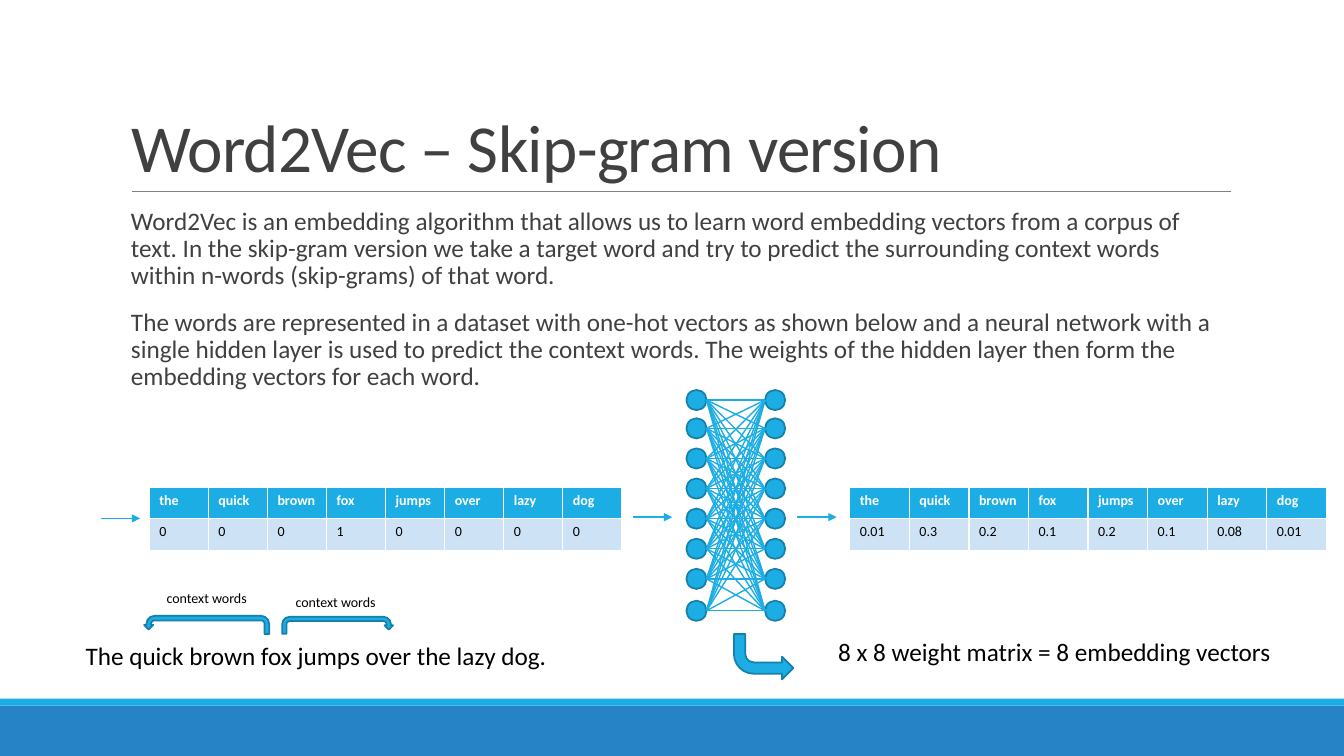
"""Build the slide on the skip-gram version of Word2Vec."""
from itertools import product

from lxml import etree
from pptx import Presentation
from pptx.dml.color import RGBColor
from pptx.enum import shapes, text
from pptx.oxml import ns
from pptx.util import Pt

TITLE = "Word2Vec – Skip-gram version"
BODY = [
    "Word2Vec is an embedding algorithm that allows us to learn word embedding "
    "vectors from a corpus of text. In the skip-gram version we take a target word "
    "and try to predict the surrounding context words within n-words (skip-grams) "
    "of that word.",
    "The words are represented in a dataset with one-hot vectors as shown below and "
    "a neural network with a single hidden layer is used to predict the context "
    "words. The weights of the hidden layer then form the embedding vectors for "
    "each word.",
]
WORDS = ["the", "quick", "brown", "fox", "jumps", "over", "lazy", "dog"]
ONE_HOT = ["0", "0", "0", "1", "0", "0", "0", "0"]
PREDICTED = ["0.01", "0.3", "0.2", "0.1", "0.2", "0.1", "0.08", "0.01"]

BLUE = RGBColor(0x1C, 0xAD, 0xE4)
BLUE_EDGE = RGBColor(0x15, 0x80, 0xA9)
BLUE_DEEP = RGBColor(0x26, 0x83, 0xC6)
BLUE_PALE = RGBColor(0xCD, 0xE3, 0xF5)
GREY = RGBColor(0x80, 0x80, 0x80)
GREY_DARK = RGBColor(0x40, 0x40, 0x40)
WHITE = RGBColor(0xFF, 0xFF, 0xFF)
BLACK = RGBColor(0x00, 0x00, 0x00)

CAPTIONS = [
    ("The quick brown fox jumps over the lazy dog.", (42.5, 453.8, 366.5, 29), 18),
    ("context words", (106.6, 417.8, 82.1, 19.4), 10),
    ("context words", (198.7, 420.5, 82.1, 19.4), 10),
    ("8 x 8 weight matrix = 8 embedding vectors", (584, 450.9, 338.4, 29), 18),
]
TABLES = [(106.6, 337.7, ONE_HOT), (607, 340.6, PREDICTED)]
TABLE_TOP, ROW_HEIGHT = 347.8, 22.7
FLOW_ARROWS = [(72.5, 100.1, 370.3), (452.2, 480.2, 369.4), (569.5, 597.6, 369.4)]
BLOCK_ARROWS = [
    ("U_TURN_ARROW", (201.6, 440.6, 79.2, 12.2), None),
    ("U_TURN_ARROW", (103, 439.9, 89.3, 13), "flipH"),
    ("BENT_ARROW", (524.2, 452.9, 42.5, 32.4), "flipV"),
]
NODE = 14.4
INPUT_X, OUTPUT_X = 490.3, 546.5
NODE_YS = [285.8] + [306 + 21.5 * i for i in range(6)] + [436.3]
MISSING_LINK = (NODE_YS[7], NODE_YS[5])


def set_values(target, **values):
    for name, value in values.items():
        setattr(target, name, value)


def points(box):
    return [Pt(value) for value in box]


def write(paragraph, words, size, color, **values):
    run = paragraph.add_run()
    run.text = words
    set_values(run.font, name="Calibri", size=Pt(size), **values)
    run.font.color.rgb = color
    return run


def add_block(slide, kind, box, fill, edge=None, flip=None):
    shape = slide.shapes.add_shape(getattr(shapes.MSO_SHAPE, kind), *points(box))
    shape.shadow.inherit = False
    shape.fill.solid()
    shape.fill.fore_color.rgb = fill
    if edge is None:
        shape.line.fill.background()
    else:
        shape.line.color.rgb = edge
        shape.line.width = Pt(1.25)
    if flip:
        shape.element.spPr.get_or_add_xfrm().set(flip, "1")


def add_line(slide, start, end, color=BLUE, width=1, arrow=False):
    line = slide.shapes.add_connector(
        shapes.MSO_CONNECTOR.STRAIGHT, *points(start + end))
    line.line.color.rgb = color
    line.line.width = Pt(width)
    if arrow:
        etree.SubElement(line.line._get_or_add_ln(), ns.qn("a:tailEnd"), type="triangle")
    etree.SubElement(line.element.spPr, ns.qn("a:effectLst"))


def add_title(slide):
    title = slide.shapes.title
    set_values(title, **dict(zip(("left", "top", "width", "height"),
                                 points((86.4, 22.3, 792, 114.5)))))
    set_values(title.text_frame, vertical_anchor=text.MSO_ANCHOR.BOTTOM,
               word_wrap=True, auto_size=text.MSO_AUTO_SIZE.NONE)
    paragraph = title.text_frame.paragraphs[0]
    set_values(paragraph, alignment=text.PP_ALIGN.LEFT, line_spacing=0.85)
    run = write(paragraph, TITLE, 48, GREY_DARK)
    run.font._element.set("spc", "-50")


def add_body(slide):
    frame = slide.shapes.add_textbox(*points((86.4, 145.4, 792, 316.8))).text_frame
    set_values(frame, word_wrap=True, margin_left=0, margin_right=0)
    for index, words in enumerate(BODY):
        paragraph = frame.add_paragraph() if index else frame.paragraphs[0]
        set_values(paragraph, line_spacing=0.9, space_before=Pt(12), space_after=Pt(2))
        paragraph._p.get_or_add_pPr().set("marL", str(Pt(7.2)))
        write(paragraph, words, 18, GREY_DARK)


def add_caption(slide, words, box, size):
    frame = slide.shapes.add_textbox(*points(box)).text_frame
    set_values(frame, word_wrap=True, auto_size=text.MSO_AUTO_SIZE.SHAPE_TO_FIT_TEXT)
    frame.paragraphs[0].alignment = text.PP_ALIGN.CENTER
    write(frame.paragraphs[0], words, size, BLACK)


def add_vector_table(slide, left, width, values):
    rows = [(WORDS, BLUE, WHITE, True), (values, BLUE_PALE, BLACK, False)]
    table = slide.shapes.add_table(
        len(rows), len(WORDS), *points((left, TABLE_TOP, width, 2 * ROW_HEIGHT))).table
    for column in table.columns:
        column.width = Pt(width / len(WORDS))
    for row, (entries, fill, color, bold) in enumerate(rows):
        table.rows[row].height = Pt(ROW_HEIGHT)
        for column, entry in enumerate(entries):
            cell = table.cell(row, column)
            cell.fill.solid()
            cell.fill.fore_color.rgb = fill
            write(cell.text_frame.paragraphs[0], entry, 10, color, bold=bold)


def add_network(slide):
    for x, y in product((INPUT_X, OUTPUT_X), NODE_YS):
        add_block(slide, "OVAL", (x, y - NODE / 2, NODE, NODE), BLUE, BLUE_EDGE)
    for link in product(NODE_YS, NODE_YS):
        if link != MISSING_LINK:
            add_line(slide, (INPUT_X + NODE, link[0]), (OUTPUT_X, link[1]))


def main():
    presentation = Presentation()
    set_values(presentation, slide_width=Pt(960), slide_height=Pt(540))
    slide = presentation.slides.add_slide(presentation.slide_layouts[5])
    add_block(slide, "RECTANGLE", (0, 504, 960, 36), BLUE_DEEP)
    add_block(slide, "RECTANGLE", (0, 499, 960, 5), BLUE)
    add_line(slide, (94.3, 136.8), (879.1, 136.8), GREY, 0.5)
    add_title(slide)
    add_body(slide)
    for left, width, values in TABLES:
        add_vector_table(slide, left, width, values)
    add_network(slide)
    for start, end, y in FLOW_ARROWS:
        add_line(slide, (start, y), (end, y), arrow=True)
    for words, box, size in CAPTIONS:
        add_caption(slide, words, box, size)
    for kind, box, flip in BLOCK_ARROWS:
        add_block(slide, kind, box, BLUE, BLUE_EDGE, flip)
    presentation.save("out.pptx")


if __name__ == "__main__":
    main()
